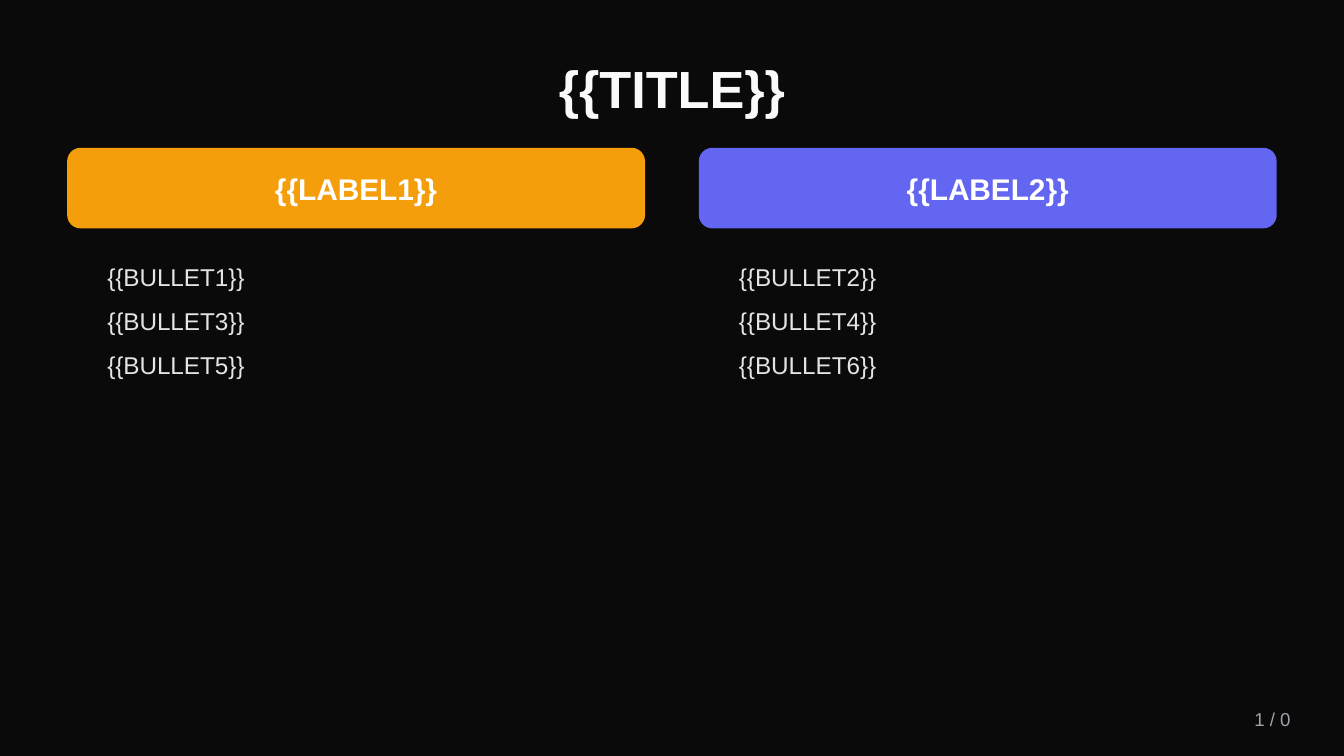
from dataclasses import dataclass
from typing import NamedTuple

from pptx import Presentation
from pptx.dml.color import RGBColor
from pptx.enum.shapes import MSO_SHAPE
from pptx.enum.text import MSO_ANCHOR, PP_ALIGN
from pptx.util import Emu, Pt

SCALE = 5715  # EMU per px, 160 px to the inch


@dataclass(frozen=True)
class Theme:
    font: str = "Arial"
    back: str = "0A0A0B"
    title: str = "FAFAFA"
    label: str = "FFFFFF"
    body: str = "E4E4E7"
    muted: str = "A1A1AA"
    amber: str = "F59E0B"
    indigo: str = "6366F1"
    title_size: int = 28
    label_size: int = 16
    body_size: int = 13
    page_size: int = 10


class Box(NamedTuple):
    left: int
    top: int
    width: int
    height: int

    def emu(self) -> list[Emu]:
        return [Emu(side * SCALE) for side in self]


class Style(NamedTuple):
    size: int
    color: str
    bold: bool = False
    align: PP_ALIGN = PP_ALIGN.CENTER
    anchor: MSO_ANCHOR = MSO_ANCHOR.MIDDLE
    after: int = 0


class Column(NamedTuple):
    label: str
    fill: str
    lines: list[str]


THEME = Theme()
TITLE = Style(THEME.title_size, THEME.title, bold=True)
LABEL = Style(THEME.label_size, THEME.label, bold=True)
BODY = Style(THEME.body_size, THEME.body, align=PP_ALIGN.LEFT,
             anchor=MSO_ANCHOR.TOP, after=8)
PAGE = Style(THEME.page_size, THEME.muted, align=PP_ALIGN.RIGHT)

COLUMNS = [
    Column("{{LABEL1}}", THEME.amber,
           ["{{BULLET1}}", "{{BULLET3}}", "{{BULLET5}}"]),
    Column("{{LABEL2}}", THEME.indigo,
           ["{{BULLET2}}", "{{BULLET4}}", "{{BULLET6}}"]),
]
MARGIN, WIDTH, GAP, INDENT = 80, 688, 64, 32


def write(shape, lines: list[str], style: Style) -> None:
    frame = shape.text_frame
    frame.word_wrap = True
    frame.vertical_anchor = style.anchor
    frame.text = "\n".join(lines)
    form = {"name": THEME.font, "size": Pt(style.size), "bold": style.bold}
    for para in frame.paragraphs:
        para.alignment = style.align
        para.space_after = Pt(style.after)
        for run in para.runs:
            for key, value in form.items():
                setattr(run.font, key, value)
            run.font.color.rgb = RGBColor.from_string(style.color)


def add_text(slide, box: Box, lines: list[str], style: Style) -> None:
    write(slide.shapes.add_textbox(*box.emu()), lines, style)


def add_label(slide, box: Box, text: str, fill: str) -> None:
    shape = slide.shapes.add_shape(MSO_SHAPE.ROUNDED_RECTANGLE, *box.emu())
    shape.shadow.inherit = False
    shape.fill.solid()
    shape.fill.fore_color.rgb = RGBColor.from_string(fill)
    shape.line.fill.background()
    write(shape, [text], LABEL)


def add_column(slide, left: int, column: Column) -> None:
    add_label(slide, Box(left, 176, WIDTH, 96), column.label, column.fill)
    body = Box(left + INDENT, 304, WIDTH - 2 * INDENT, 448)
    add_text(slide, body, column.lines, BODY)


def main() -> None:
    deck = Presentation()
    deck.slide_width, deck.slide_height = Emu(1600 * SCALE), Emu(900 * SCALE)
    slide = deck.slides.add_slide(deck.slide_layouts[6])

    # Background
    slide.background.fill.solid()
    slide.background.fill.fore_color.rgb = RGBColor.from_string(THEME.back)

    # Title
    add_text(slide, Box(MARGIN, 48, 1440, 112), ["{{TITLE}}"], TITLE)

    # Two columns to compare
    for index, column in enumerate(COLUMNS):
        add_column(slide, MARGIN + index * (WIDTH + GAP), column)

    # Page number
    add_text(slide, Box(1360, 832, 192, 48), ["1 / 0"], PAGE)

    deck.save("out.pptx")


if __name__ == "__main__":
    main()
